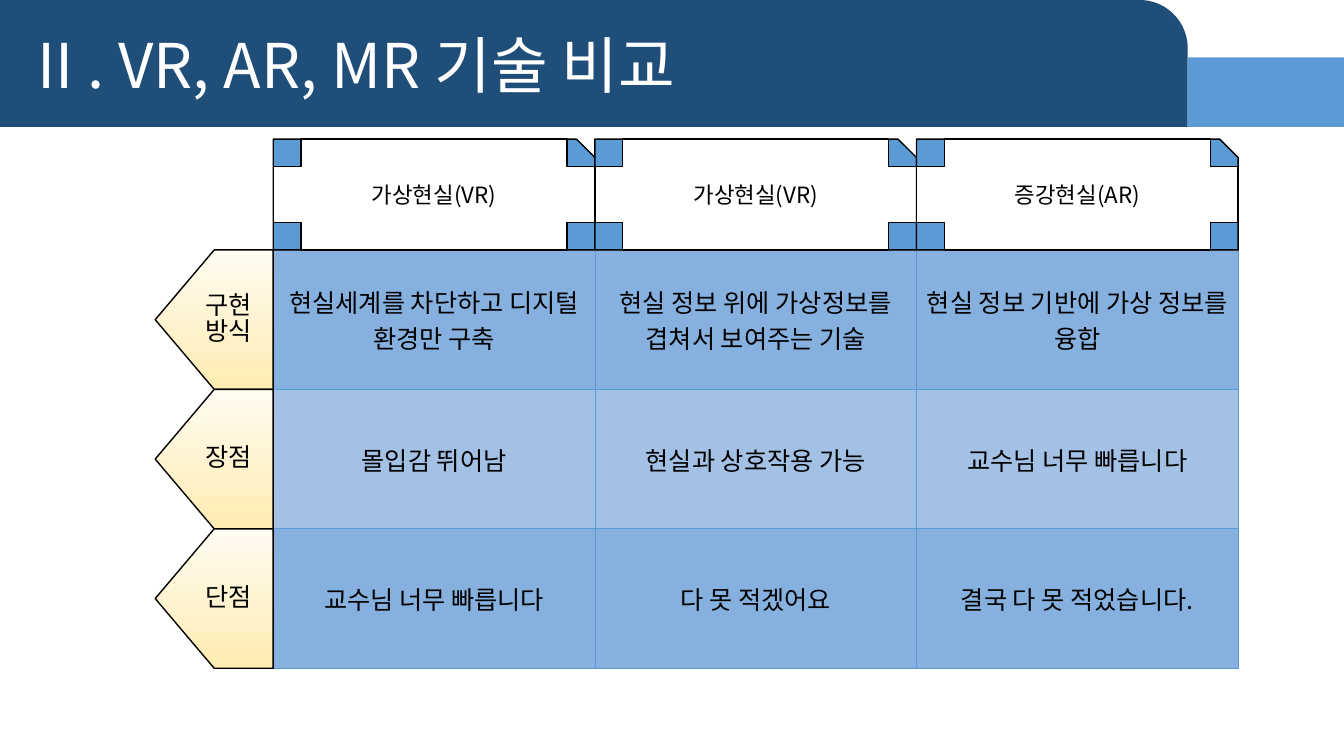
from dataclasses import dataclass

from lxml import etree
from pptx import Presentation
from pptx.dml.color import RGBColor
from pptx.enum.shapes import MSO_SHAPE
from pptx.enum.text import MSO_ANCHOR, MSO_AUTO_SIZE, PP_ALIGN
from pptx.oxml.ns import qn
from pptx.util import Inches, Pt

BANNER, TAB = MSO_SHAPE.ROUND_1_RECTANGLE, MSO_SHAPE.RECTANGLE
SNIP, CROSS, ARROW = MSO_SHAPE.SNIP_1_RECTANGLE, MSO_SHAPE.CROSS, MSO_SHAPE.PENTAGON
LEFT, CENTER = PP_ALIGN.LEFT, PP_ALIGN.CENTER
MIDDLE, NO_AUTOFIT = MSO_ANCHOR.MIDDLE, MSO_AUTO_SIZE.NONE
TITLE_ONLY = 5


@dataclass(frozen=True)
class Theme:
    """Colours, font and type sizes of the slide."""
    font: str = "Noto Sans CJK KR"
    navy: str = "1F4E79"
    blue: str = "5B9BD5"
    bands: tuple = ("86B1DE", "A3C0E5")
    cream: tuple = ("FFFCF2", "FFECB2")
    white: str = "FFFFFF"
    black: str = "000000"
    title: int = 44
    header: int = 16
    body: int = 18


@dataclass(frozen=True)
class Box:
    """A rectangle in inches."""
    left: float
    top: float
    width: float
    height: float

    def emu(self):
        """Return the four lengths for python-pptx."""
        return [Inches(value) for value in (self.left, self.top, self.width, self.height)]

    def column(self, index, count):
        """Return one of several equal columns."""
        width = self.width / count
        return Box(self.left + index * width, self.top, width, self.height)

    def row(self, index, count):
        """Return one of several equal rows."""
        height = self.height / count
        return Box(self.left, self.top + index * height, self.width, height)


THEME = Theme()
SLIDE = Box(0, 0, 13.33, 7.5)
TITLE_BAR = Box(0, 0, SLIDE.width, 1.26)
HEADERS = Box(2.71, 1.38, 9.57, 1.1)
GRID = Box(2.71, 2.48, 9.57, 4.15)
LABELS = Box(1.54, 2.48, 1.17, 4.15)

TITLE = "II . VR, AR, MR 기술 비교"
HEADER_TEXTS = ("가상현실(VR)", "가상현실(VR)", "증강현실(AR)")
LABEL_TEXTS = ("구현방식", "장점", "단점")
CELL_TEXTS = (
    ("현실세계를 차단하고 디지털 환경만 구축",
     "현실 정보 위에 가상정보를 겹쳐서 보여주는 기술",
     "현실 정보 기반에 가상 정보를 융합"),
    ("몰입감 뛰어남", "현실과 상호작용 가능", "교수님 너무 빠릅니다"),
    ("교수님 너무 빠릅니다", "다 못 적겠어요", "결국 다 못 적었습니다."),
)


def write(frame, text, size=THEME.body, color=THEME.black, align=CENTER, spacing=1.0):
    """Put one formatted paragraph into a text frame."""
    frame.word_wrap = True
    paragraph = frame.paragraphs[0]
    paragraph.alignment = align
    paragraph.line_spacing = spacing
    run = paragraph.add_run()
    run.text = text
    run.font.name = THEME.font
    run.font.size = Pt(size)
    run.font.color.rgb = RGBColor.from_string(color)
    east_asian = etree.SubElement(run.font._element, qn("a:ea"))
    east_asian.set("typeface", THEME.font)


def add_block(shapes, kind, box, fill, line=None):
    """Add a preset shape with a plain or two-colour vertical fill."""
    shape = shapes.add_shape(kind, *box.emu())
    shape.shadow.inherit = False
    if isinstance(fill, tuple):
        shape.fill.gradient()
        shape.fill.gradient_angle = 270
        for stop, color, position in zip(shape.fill.gradient_stops, fill, (0, 1)):
            stop.color.rgb = RGBColor.from_string(color)
            stop.position = position
    else:
        shape.fill.solid()
        shape.fill.fore_color.rgb = RGBColor.from_string(fill)
    if line:
        shape.line.color.rgb = RGBColor.from_string(line)
        shape.line.width = Pt(1)
    else:
        shape.line.fill.background()
    return shape


def add_title_bar(slide, box):
    """Draw the banner and its tab, with the title on top."""
    banner_box = Box(box.left, box.top, 11.78, box.height)
    tab_top = box.top + 0.57
    tab_left = box.left + banner_box.width
    tab_box = Box(tab_left, tab_top, box.width - banner_box.width, box.height - 0.57)
    banner = add_block(slide.shapes, BANNER, banner_box, THEME.navy)
    banner.adjustments[0] = 0.38
    add_block(slide.shapes, TAB, tab_box, THEME.blue)
    title = slide.shapes.title
    title.left, title.top, title.width, title.height = banner_box.emu()
    title.text_frame.auto_size = NO_AUTOFIT
    title.text_frame.vertical_anchor = MIDDLE
    title.text_frame.margin_left = Inches(0.37)
    write(title.text_frame, TITLE, size=THEME.title, color=THEME.white, align=LEFT)
    slide.shapes._spTree.append(title._element)


def add_headers(slide, box):
    """Draw one grouped column header per technology."""
    for index, text in enumerate(HEADER_TEXTS):
        cell = box.column(index, len(HEADER_TEXTS))
        group = slide.shapes.add_group_shape()
        add_block(group.shapes, SNIP, cell, THEME.blue, line=THEME.black)
        cross = add_block(group.shapes, CROSS, cell, THEME.white, line=THEME.black)
        write(cross.text_frame, text, size=THEME.header)


def add_labels(slide, box):
    """Draw one left-pointing arrow label per table row."""
    for index, text in enumerate(LABEL_TEXTS):
        cell = box.row(index, len(LABEL_TEXTS))
        arrow = add_block(slide.shapes, ARROW, cell, THEME.cream, line=THEME.black)
        arrow._element.spPr.get_or_add_xfrm().set("flipH", "1")
        write(arrow.text_frame, text, spacing=0.85)


def set_borders(cell, color, width):
    """Give a table cell the same line on all four sides."""
    properties = cell._tc.get_or_add_tcPr()
    for index, side in enumerate(("a:lnL", "a:lnR", "a:lnT", "a:lnB")):
        line = etree.Element(qn(side), w=str(Pt(width)))
        fill = etree.SubElement(line, qn("a:solidFill"))
        etree.SubElement(fill, qn("a:srgbClr"), val=color)
        properties.insert(index, line)


def add_comparison(slide, box):
    """Draw the comparison table with alternating row colours."""
    rows, columns = len(CELL_TEXTS), len(CELL_TEXTS[0])
    table = slide.shapes.add_table(rows, columns, *box.emu()).table
    table.first_row = table.horz_banding = False
    for row, texts in enumerate(CELL_TEXTS):
        for column, text in enumerate(texts):
            cell = table.cell(row, column)
            cell.fill.solid()
            cell.fill.fore_color.rgb = RGBColor.from_string(THEME.bands[row % 2])
            cell.vertical_anchor = MIDDLE
            set_borders(cell, THEME.blue, 0.5)
            write(cell.text_frame, text)


def main():
    """Build and save the slide."""
    presentation = Presentation()
    presentation.slide_width, presentation.slide_height = SLIDE.emu()[2:]
    slide = presentation.slides.add_slide(presentation.slide_layouts[TITLE_ONLY])
    add_title_bar(slide, TITLE_BAR)
    add_comparison(slide, GRID)
    add_headers(slide, HEADERS)
    add_labels(slide, LABELS)
    presentation.save("out.pptx")


main()
